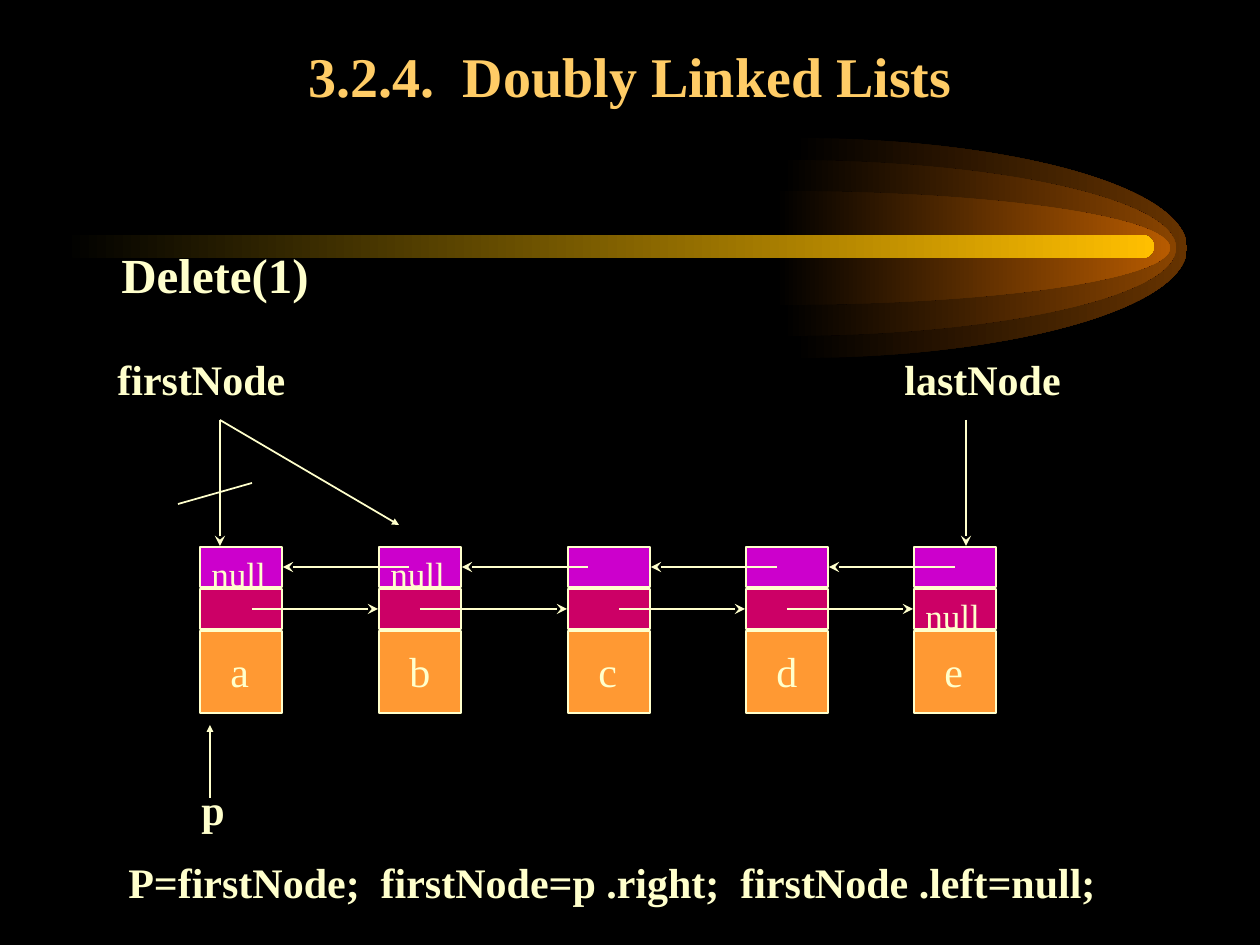
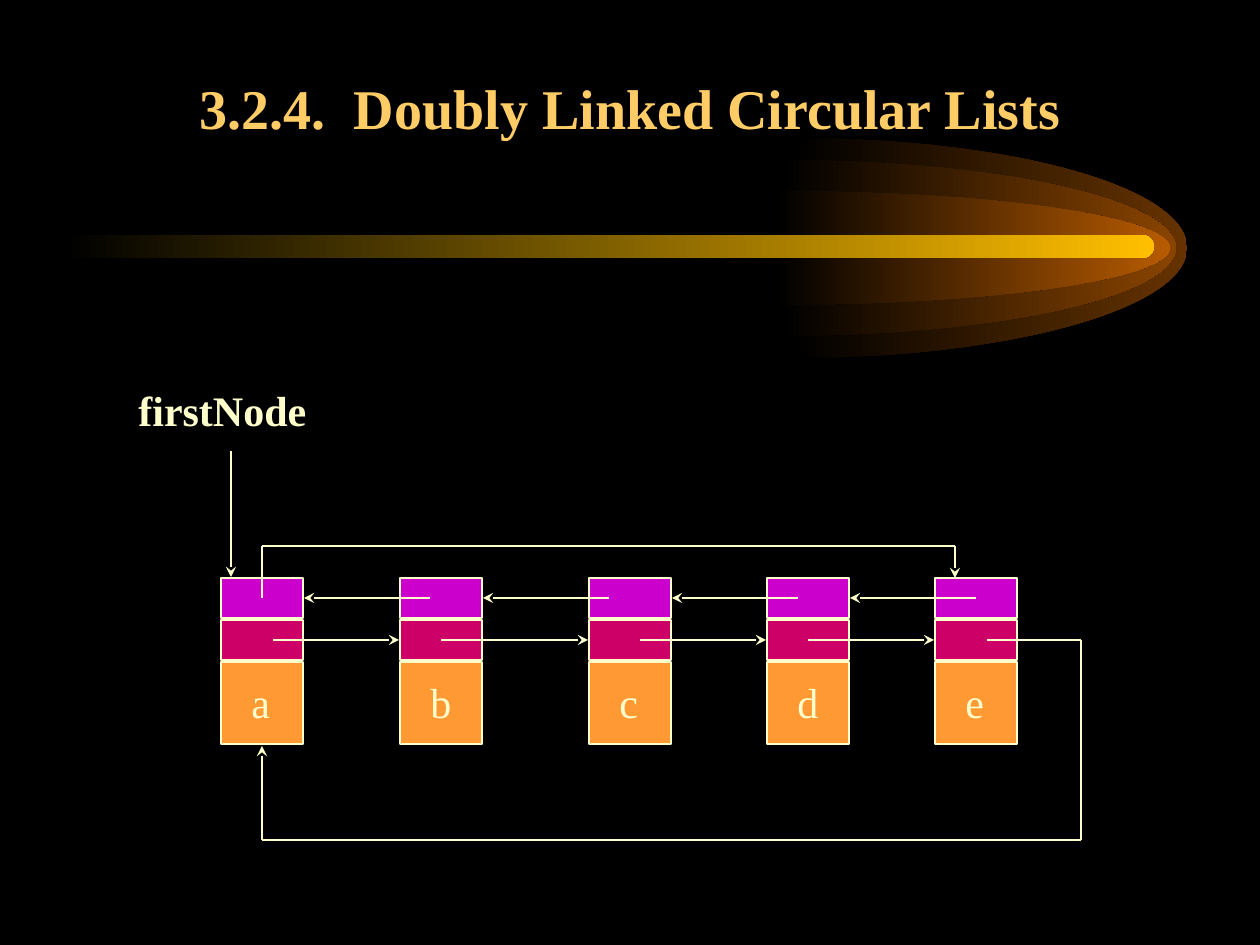
from itertools import pairwise

from lxml.etree import SubElement
from pptx import Presentation
from pptx.dml.color import RGBColor
from pptx.enum.shapes import MSO_CONNECTOR as Connector, MSO_SHAPE as Shape
from pptx.enum.text import MSO_ANCHOR as Anchor, PP_ALIGN as Align
from pptx.oxml.ns import qn
from pptx.util import Emu, Pt

EMU_PER_PX = 914400 / 126
FONT = "Times New Roman"
COLORS = {
    "night": "000000", "title": "FFCC66", "ink": "FFFFCC",
    "left_link": "CC00CC", "right_link": "CC0066", "data": "FF9933",
    "outer": "663300", "middle": "894400", "inner": "B75B00", "bar": "FFBF00",
}

# Parts of the comet: left edge, half height, colour
SHELLS = [(793, 110, "outer"), (782, 88, "middle"), (776, 57, "inner")]
SHELL_WIDTH, COMET_MIDDLE = 394, 248
ELLIPSE_HANDLE = 0.55

# Linked list, in px from the top left of its first node
NODES = {"a": 0, "b": 179, "c": 368, "d": 546, "e": 714}
NODE_WIDTH = 82
CELLS = [("left_link", 0, 40), ("right_link", 42, 40), ("data", 84, 82)]
LEFT_Y, RIGHT_Y = 20, 62
LEFT_SPAN = 126
RIGHT_SPANS = [126, 147, 126, 126]


def px(length):
    return Emu(round(length * EMU_PER_PX))


def color(name):
    return RGBColor.from_string(COLORS[name])


def fade(shape, name):
    """Fill from the background colour on the left to a named colour."""
    shape.fill.gradient()
    shape.fill.gradient_angle = 0
    for stop, tone in zip(shape.fill.gradient_stops, ("night", name)):
        stop.color.rgb = color(tone)
    shape.line.fill.background()
    shape.shadow.inherit = False


def add_text(page, box, text, size=24, bold=True, tone="ink",
             align=Align.LEFT, anchor=Anchor.TOP, wrap=True):
    frame = page.shapes.add_textbox(*map(px, box)).text_frame
    frame.word_wrap = wrap
    frame.vertical_anchor = anchor
    frame.text = text
    para = frame.paragraphs[0]
    para.alignment = align
    font = para.runs[0].font
    font.name, font.size, font.bold = FONT, Pt(size), bold
    font.color.rgb = color(tone)


def add_route(page, origin, points, head=None, head_size="med"):
    """Join points with straight lines; the last one may carry an arrowhead."""
    left, top = origin
    for (x1, y1), (x2, y2) in pairwise(points):
        line = page.shapes.add_connector(
            Connector.STRAIGHT, px(left + x1), px(top + y1), px(left + x2), px(top + y2))
        line.line.width = Pt(1)
        line.line.color.rgb = color("ink")
        properties = line._element.spPr
        if head and (x2, y2) == points[-1]:
            SubElement(properties.find(qn("a:ln")), qn("a:tailEnd"),
                       type=head, w=head_size, len=head_size)
        SubElement(properties, qn("a:effectLst"))


def bend(segment, points):
    """Turn a straight outline segment into a cubic curve."""
    segment.tag = qn("a:cubicBezTo")
    segment.clear()
    for x, y in points:
        SubElement(segment, qn("a:pt"), x=str(round(x)), y=str(round(y)))


def add_shell(page, left, radius, name):
    """The right half of an ellipse, in two curves."""
    top, bottom = COMET_MIDDLE - radius, COMET_MIDDLE + radius
    builder = page.shapes.build_freeform(left, top, scale=EMU_PER_PX)
    builder.add_line_segments(
        [(left + SHELL_WIDTH, COMET_MIDDLE), (left, bottom), (left, COMET_MIDDLE)], close=True)
    shell = builder.convert_to_shape()
    upper, lower = list(shell._element.iter(qn("a:lnTo")))[:2]
    reach, rise = SHELL_WIDTH * ELLIPSE_HANDLE, radius * ELLIPSE_HANDLE
    bend(upper, [(reach, 0), (SHELL_WIDTH, radius - rise), (SHELL_WIDTH, radius)])
    bend(lower, [(SHELL_WIDTH, radius + rise), (reach, 2 * radius), (0, 2 * radius)])
    fade(shell, name)


def add_comet(page):
    """Three half ellipses with a bar running into them."""
    for left, radius, name in SHELLS:
        add_shell(page, left, radius, name)
    bar = page.shapes.add_shape(Shape.ROUNDED_RECTANGLE, *map(px, (63, 235, 1091, 23)))
    bar.adjustments[0] = 0.5
    fade(bar, "bar")


def start_page(deck, title, title_top):
    page = deck.slides.add_slide(deck.slide_layouts[6])
    add_comet(page)
    add_text(page, (95, title_top, 1071, 84), title, size=32, tone="title",
             align=Align.CENTER, anchor=Anchor.BOTTOM)
    return page


def add_node(page, left, top, letter):
    for name, offset, height in CELLS:
        cell = page.shapes.add_shape(
            Shape.RECTANGLE, px(left), px(top + offset), px(NODE_WIDTH), px(height))
        cell.fill.solid()
        cell.fill.fore_color.rgb = color(name)
        cell.line.color.rgb = color("ink")
        cell.line.width = Pt(1)
        cell.shadow.inherit = False
    add_text(page, (left + 18, top + 92, 45, 63), letter, bold=False, wrap=False)


def add_linked_list(page, origin):
    left, top = origin
    for letter, offset in NODES.items():
        add_node(page, left + offset, top, letter)
    for (here, following), span in zip(pairwise(NODES.values()), RIGHT_SPANS):
        tip = following - 1
        add_route(page, origin, [(tip - span, RIGHT_Y), (tip, RIGHT_Y)], "stealth")
        edge = here + NODE_WIDTH + 1
        add_route(page, origin, [(edge + LEFT_SPAN, LEFT_Y), (edge, LEFT_Y)], "stealth")


def add_pointer(page, origin, name, label_x, arrow_x):
    """A named pointer above the list, with its arrow down to a node."""
    left, top = origin
    add_text(page, (left + label_x, top - 200, 231, 63), name)
    add_route(page, origin, [(arrow_x, -127), (arrow_x, -1)], "stealth")


def add_delete_page(deck):
    page = start_page(deck, "3.2.4.  Doubly Linked Lists", 31)
    add_text(page, (109, 238, 400, 70), "Delete(1)", size=28)
    origin = left, top = 200, 547
    add_linked_list(page, origin)
    add_pointer(page, origin, "firstNode", -95, 20)
    add_pointer(page, origin, "lastNode", 692, 766)

    # Ends of the list
    for letter, offset in (("a", -1), ("b", -1), ("e", 41)):
        add_text(page, (left + NODES[letter] - 1, top + offset, 84, 54), "null",
                 size=20, bold=False)

    # Old link struck out, new link, and the removed node
    add_route(page, origin, [(52, -64), (-22, -43)])
    add_route(page, origin, [(20, -127), (199, -22)], "triangle", "sm")
    add_text(page, (left - 11, top + 230, 63, 63), "p")
    add_route(page, origin, [(10, 251), (10, 178)], "triangle", "sm")
    add_text(page, (116, 850, 998, 63),
             "P=firstNode;  firstNode=p .right;  firstNode .left=null;")


def add_circular_page(deck):
    page = start_page(deck, "3.2.4.  Doubly Linked Circular Lists", 63)
    origin = 221, 578
    add_linked_list(page, origin)
    add_pointer(page, origin, "firstNode", -95, 10)

    # Links that close the circle, below and above the nodes
    add_route(page, origin,
              [(766, RIGHT_Y), (860, RIGHT_Y), (860, 262), (41, 262), (41, 168)], "stealth")
    add_route(page, origin, [(41, LEFT_Y), (41, -32), (734, -32), (734, 0)], "stealth")


def main():
    deck = Presentation()
    deck.slide_width, deck.slide_height = px(1260), px(945)
    backdrop = deck.slide_master.background.fill
    backdrop.solid()
    backdrop.fore_color.rgb = color("night")
    add_delete_page(deck)
    add_circular_page(deck)
    deck.save("out.pptx")


if __name__ == "__main__":
    main()
